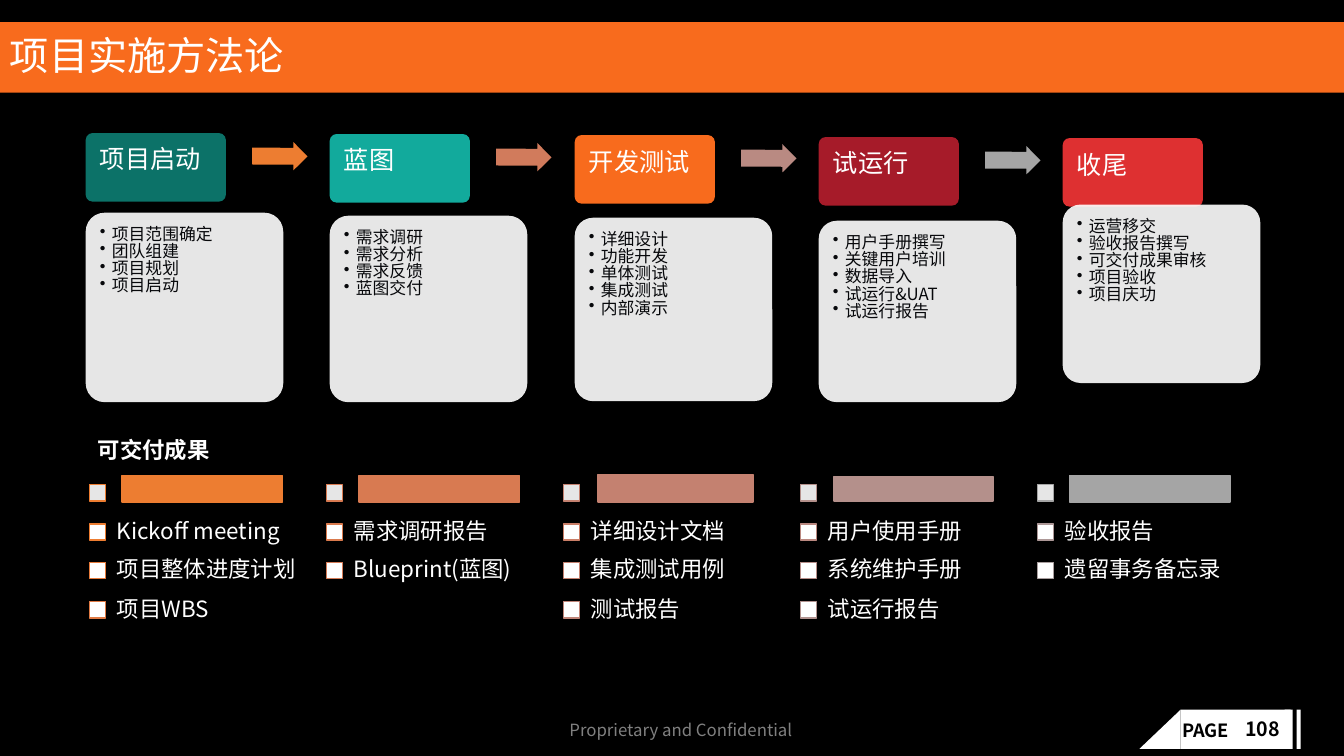
from lxml.etree import SubElement
from pptx import Presentation
from pptx.dml.color import RGBColor
from pptx.enum.shapes import MSO_SHAPE as Preset
from pptx.enum.text import MSO_ANCHOR as Anchor, PP_ALIGN as Align
from pptx.oxml.ns import qn
from pptx.util import Pt

PX = 9144
FONT = "Noto Sans CJK SC"
WHITE, BLACK, INK, GREY = "FFFFFF", "000000", "07080B", "808080"

TITLE = "项目实施方法论"
FOOTER = "Proprietary and Confidential"
DELIVERABLES_HEADING = "可交付成果"
PAGE_LABEL, PAGE_NUMBER = "PAGE", "108"

PHASES = [
    ("项目启动", "0C7268", (211, 188),
     ["项目范围确定", "团队组建", "项目规划", "项目启动"]),
    ("蓝图", "12AA9C", (214, 185),
     ["需求调研", "需求分析", "需求反馈", "蓝图交付"]),
    ("开发测试", "F86B1D", (216, 182),
     ["详细设计", "功能开发", "单体测试", "集成测试", "内部演示"]),
    ("试运行", "A61B29", (219, 180),
     ["用户手册撰写", "关键用户培训", "数据导入", "试运行&UAT", "试运行报告"]),
    ("收尾", "DE3031", (203, 177),
     ["运营移交", "验收报告撰写", "可交付成果审核", "项目验收", "项目庆功"]),
]
ARROW_COLORS = ["ED7D31", "D17B5C", "B98A82", "A5A5A5"]

DELIVERABLES = [
    ("ED7D31", (121, 472, 159, 26),
     [("Kickoff meeting", "ED7D31"), ("项目整体进度计划", "E77B3B"), ("项目WBS", "E07A44")]),
    ("D87A51", (356, 472, 159, 26),
     [("需求调研报告", "DA7A4D"), ("Blueprint(蓝图)", "D57B56")]),
    ("C48170", (593, 471, 154, 27),
     [("详细设计文档", "CA7E67"), ("集成测试用例", "C48170"), ("测试报告", "BF8478")]),
    ("B4908B", (827, 473, 158, 24),
     [("用户使用手册", "BA8880"), ("系统维护手册", "B68D88"), ("试运行报告", "B1928F")]),
    ("A5A5A5", (1061, 472, 159, 26),
     [("验收报告", "AD9897"), ("遗留事务备忘录", "A99E9E")]),
]

PHASE_LEFT, PHASE_STEP = 85, 242.25
PHASE_TOP, PHASE_DROP = 132, 1.2
GROUP_LEFT, GROUP_STEP = 89, 235
ROW_TOP, ROW_STEP = 509, 38.3
MARKER = 16

prs = Presentation()
prs.slide_width, prs.slide_height = 1333 * PX, 750 * PX
slide = prs.slides.add_slide(prs.slide_layouts[6])


def rgb(color):
    return RGBColor.from_string(color)


def emu(box):
    return [round(length) * PX for length in box]


def add_block(preset, box, color, line=None, alpha=None, adjustments=()):
    block = slide.shapes.add_shape(preset, *emu(box))
    block.shadow.inherit = False
    block.fill.solid()
    block.fill.fore_color.rgb = rgb(color)
    if alpha:
        tint = block._element.spPr.find(qn("a:solidFill"))[0]
        SubElement(tint, qn("a:alpha")).set("val", str(alpha * 1000))
    if line:
        block.line.color.rgb = rgb(line)
        block.line.width = Pt(1)
    else:
        block.line.fill.background()
    for index, value in enumerate(adjustments):
        block.adjustments[index] = value
    return block


def write(shape, lines, size, color, bold=False, insets=(10, 5, 10, 5),
          anchor=Anchor.TOP, spacing=0.9, wrap=True, bullets=False):
    frame = shape.text_frame
    frame.word_wrap = wrap
    frame.vertical_anchor = anchor
    (frame.margin_left, frame.margin_top,
     frame.margin_right, frame.margin_bottom) = emu(insets)
    frame.text = "\n".join(lines)
    for paragraph in frame.paragraphs:
        paragraph.alignment = Align.LEFT
        paragraph.line_spacing = spacing
        if bullets:
            props = paragraph._p.get_or_add_pPr()
            props.set("marL", str(12 * PX))
            props.set("indent", str(-12 * PX))
            SubElement(props, qn("a:buChar")).set("char", "•")
        for run in paragraph.runs:
            run.font.size = Pt(size)
            run.font.bold = bold
            run.font.name = FONT
            run.font.color.rgb = rgb(color)
            SubElement(run._r.get_or_add_rPr(), qn("a:ea")).set("typeface", FONT)


def add_text(box, lines, size, color, **style):
    write(slide.shapes.add_textbox(*emu(box)), lines, size, color, **style)


def add_frame():
    slide.background.fill.solid()
    slide.background.fill.fore_color.rgb = rgb(BLACK)
    banner = add_block(Preset.RECTANGLE, (0, 22, 1333, 70), "F86B1D")
    write(banner, [TITLE], 28, WHITE, anchor=Anchor.MIDDLE)
    for left, width in [(1171, 109), (1274, 8), (1286, 4)]:
        add_block(Preset.RECTANGLE, (left, 704, width, 39), WHITE)
    corner = add_block(Preset.RIGHT_TRIANGLE, (1130, 704, 41, 39), WHITE)
    corner._element.spPr.find(qn("a:xfrm")).set("flipH", "1")
    add_text((1163, 709, 73, 32), [PAGE_LABEL], 13, BLACK, bold=True, spacing=1, wrap=False)
    add_text((1225, 709, 58, 32), [PAGE_NUMBER], 14, BLACK, bold=True)
    add_text((555, 709, 256, 30), [FOOTER], 12, GREY, spacing=1, wrap=False)


def add_phases():
    for index, (name, color, (panel_top, panel_height), tasks) in enumerate(PHASES):
        left = round(PHASE_LEFT + PHASE_STEP * index)
        top = round(PHASE_TOP + PHASE_DROP * index)
        add_block(Preset.ROUNDED_RECTANGLE, (left, top, 139, 68), color, adjustments=[0.1])
        add_text((left, top, 139, 45), [name], 18, WHITE, insets=(14, 14, 14, 7))
        add_block(Preset.ROUNDED_RECTANGLE, (left, panel_top, 196, panel_height),
                  WHITE, alpha=90, adjustments=[0.1])
        add_text((left + 5, panel_top + 5, 186, panel_height - 11), tasks, 12, INK,
                 insets=(9, 9, 9, 9), spacing=0.85, bullets=True)
        if index < len(ARROW_COLORS):
            arrow = add_block(Preset.RIGHT_ARROW, (left + 165, top + 9, 55, 28),
                              ARROW_COLORS[index], adjustments=[0.6, 0.5])
            arrow.rotation = 0.3


def add_deliverables():
    add_text((89, 424, 224, 47), [DELIVERABLES_HEADING], 16, WHITE, bold=True,
             insets=(8, 2, 3, 2), anchor=Anchor.MIDDLE)
    for index, (color, bar, documents) in enumerate(DELIVERABLES):
        left = GROUP_LEFT + GROUP_STEP * index
        add_block(Preset.RECTANGLE, bar, color, line=color)
        add_block(Preset.RECTANGLE, (left, 481, MARKER, MARKER), WHITE, line=color, alpha=90)
        for row, (document, outline) in enumerate(documents):
            top = ROW_TOP + ROW_STEP * row
            add_block(Preset.RECTANGLE, (left, top + 11, MARKER, MARKER), WHITE, line=outline)
            add_text((left + 15, top, 208, 38), [document], 16, WHITE,
                     insets=(12, 0, 12, 0), anchor=Anchor.MIDDLE)


add_frame()
add_phases()
add_deliverables()
prs.save("out.pptx")
